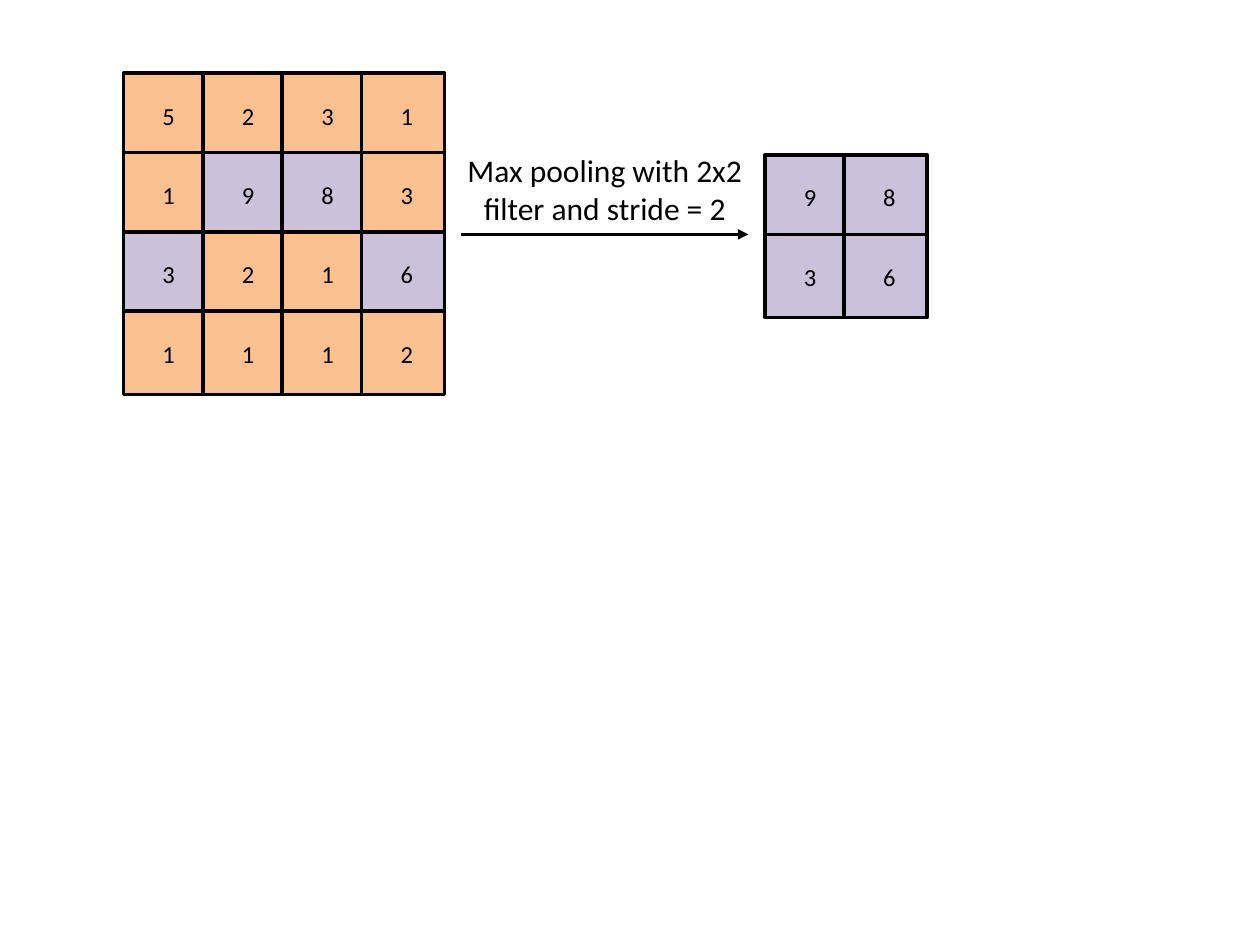
from lxml import etree
from pptx import Presentation
from pptx.dml.color import RGBColor
from pptx.enum.shapes import MSO_CONNECTOR, MSO_SHAPE
from pptx.enum.text import MSO_ANCHOR, PP_ALIGN
from pptx.oxml.ns import qn
from pptx.util import Inches, Pt

BLACK, ORANGE, PURPLE = "000000", "FAC090", "CCC1DA"
CELL, STEP = 0.66, 0.63


def color(value):
    return RGBColor.from_string(value)


def write(frame, text, size, insets):
    frame.word_wrap = True
    frame.margin_left, frame.margin_top, frame.margin_right, frame.margin_bottom = map(Inches, insets)
    para = frame.paragraphs[0]
    para.text = text
    para.alignment = PP_ALIGN.CENTER
    para.font.name = "Calibri"
    para.font.size = Pt(size)
    para.font.color.rgb = color(BLACK)


deck = Presentation()
deck.slide_width, deck.slide_height = Inches(10), Inches(7.5)
page = deck.slides.add_slide(deck.slide_layouts[6])

# Input and pooled grids: left, top, values, cells holding a maximum
grids = [
    (0.98, 0.58, ["5231", "1983", "3216", "1112"], {(1, 1), (1, 2), (2, 0), (2, 3)}),
    (6.07, 1.23, ["98", "36"], {(0, 0), (0, 1), (1, 0), (1, 1)}),
]
for left, top, rows, maxima in grids:
    for row, digits in enumerate(rows):
        for column, digit in enumerate(digits):
            box = page.shapes.add_shape(
                MSO_SHAPE.RECTANGLE, Inches(left + column * STEP), Inches(top + row * STEP),
                Inches(CELL), Inches(CELL))
            box.shadow.inherit = False
            box.fill.solid()
            box.fill.fore_color.rgb = color(PURPLE if (row, column) in maxima else ORANGE)
            box.line.color.rgb = color(BLACK)
            box.line.width = Pt(2)
            box.text_frame.vertical_anchor = MSO_ANCHOR.MIDDLE
            write(box.text_frame, digit, 14, (0.31, 0.06, 0.31, 0.05))

# Arrow from input to result
arrow = page.shapes.add_connector(
    MSO_CONNECTOR.STRAIGHT, Inches(3.66), Inches(1.86), Inches(5.94), Inches(1.86))
arrow.line.color.rgb = color(BLACK)
arrow.line.width = Pt(2)
etree.SubElement(arrow.line._get_or_add_ln(), qn("a:tailEnd"), type="triangle")
etree.SubElement(arrow._element.spPr, qn("a:effectLst"))

# Operation label
label = page.shapes.add_textbox(Inches(3.58), Inches(1.15), Inches(2.44), Inches(0.7))
write(label.text_frame, "Max pooling with 2x2 filter and stride = 2", 18, (0.1, 0.05, 0.1, 0.05))

deck.save("out.pptx")
